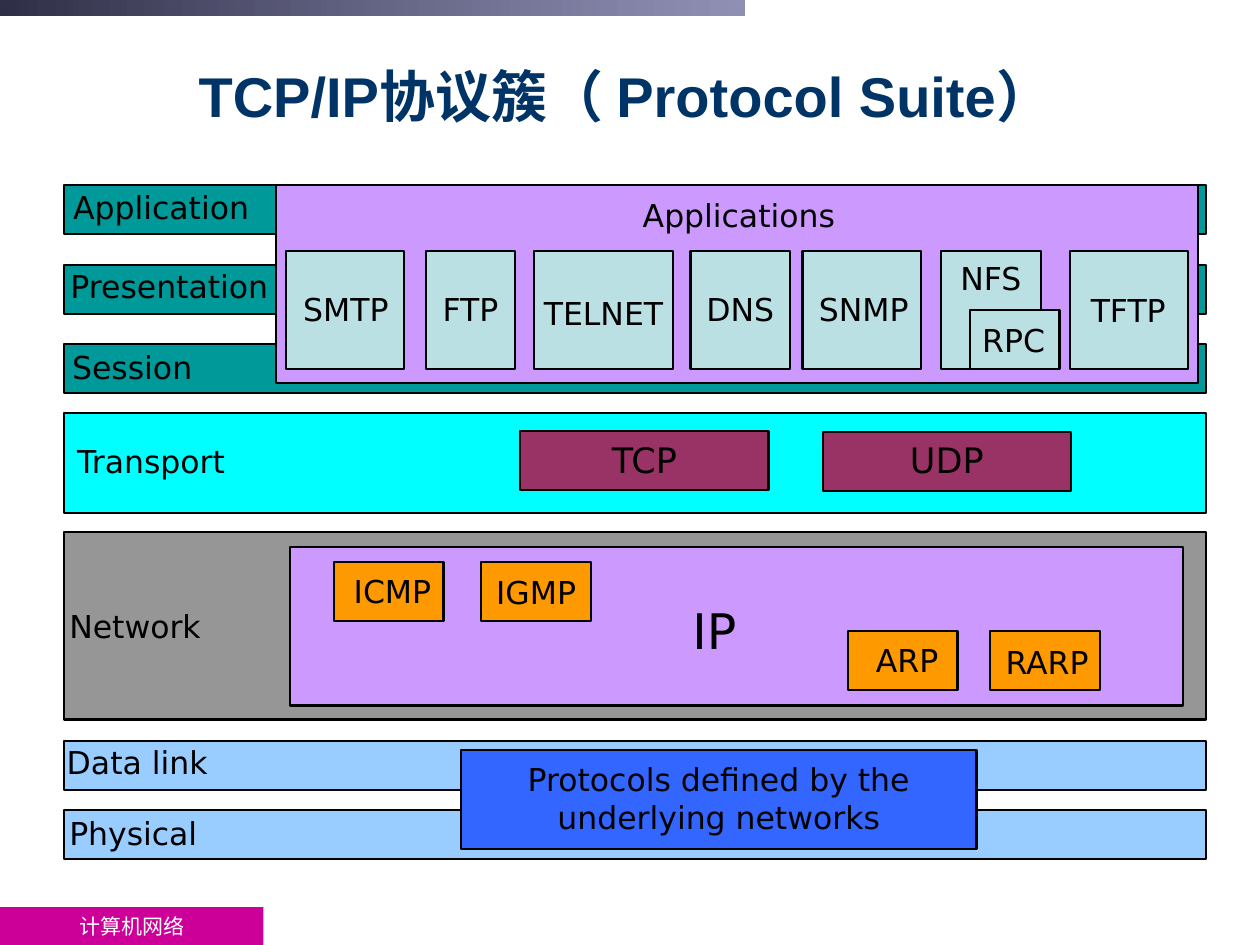
import pptx
import pptx.dml.color
import pptx.enum.shapes
import pptx.enum.text
import pptx.oxml.ns
import pptx.util
from lxml import etree

Inches = pptx.util.Inches
ALIGN = pptx.enum.text.PP_ALIGN
ANCHOR = pptx.enum.text.MSO_ANCHOR

THEME = {
    "body_font": "DejaVu Sans", "title_font": "Arial", "footer_font": "Times New Roman",
    "body": 18, "transport": 20, "ip": 28, "title": 32, "footer": 12,
    "ink": "000000", "title_ink": "003366", "white": "FFFFFF",
    "footer_fill": "CC0099", "bar_start": "2F2F47", "bar_end": "666699",
    "upper": "009999", "cyan": "00FFFF", "gray": "969696", "lower": "99CCFF",
    "violet": "CC99FF", "app": "BBE0E3", "plum": "993366", "orange": "FF9900",
    "blue": "3366FF",
}

TITLE = "TCP/IP协议簇（ Protocol Suite）"
FOOTER = "计算机网络"

# Layers: name, top, height, fill, label left, label top, label width, alignment
LAYER_LEFT, LAYER_WIDTH = 0.51, 9.06
LAYERS = [
    ("Application", 1.47, 0.39, "upper", 0.53, 1.49, 1.5, ALIGN.CENTER),
    ("Presentation", 2.1, 0.39, "upper", 0.53, 2.12, 1.63, ALIGN.CENTER),
    ("Session", 2.73, 0.39, "upper", 0.55, 2.76, 1, ALIGN.CENTER),
    ("Transport", 3.28, 0.79, "cyan", 0.55, 3.51, 1.3, ALIGN.CENTER),
    ("Network", 4.22, 1.49, "gray", 0.55, 4.82, 1.3, ALIGN.LEFT),
    ("Data link", 5.88, 0.39, "lower", 0.53, 5.9, 1.63, ALIGN.LEFT),
    ("Physical", 6.43, 0.39, "lower", 0.55, 6.46, 1.07, ALIGN.LEFT),
]

# Protocol groups: fill, type size, then boxes as
# name, box (left, top, width, height), label (left, top, width)
GROUPS = [
    ("plum", "transport", [
        ("TCP", (4.13, 3.42, 1.97, 0.47), (4.76, 3.48, 0.71)),
        ("UDP", (6.53, 3.43, 1.97, 0.47), (7.2, 3.48, 0.63)),
    ]),
    ("violet", "ip", [("IP", (2.3, 4.34, 7.09, 1.26), (5.16, 4.77, 1.02))]),
    ("orange", "body", [
        ("ICMP", (2.65, 4.46, 0.87, 0.47), (2.68, 4.54, 0.87)),
        ("IGMP", (3.82, 4.46, 0.87, 0.47), (3.86, 4.55, 0.79)),
        ("ARP", (6.73, 5.01, 0.87, 0.47), (6.73, 5.09, 0.94)),
        ("RARP", (7.86, 5.01, 0.87, 0.47), (7.84, 5.1, 0.94)),
    ]),
    ("blue", "body", [
        ("Protocols defined by the underlying networks",
         (3.66, 5.95, 4.09, 0.79), (4.13, 6.03, 3.15)),
    ]),
    ("violet", "body", [("Applications", (2.19, 1.47, 7.32, 1.57), (5, 1.56, 1.73))]),
    ("app", "body", [
        ("SMTP", (2.27, 1.99, 0.94, 0.94), (2.27, 2.3, 0.95)),
        ("FTP", (3.38, 1.99, 0.71, 0.94), (3.38, 2.3, 0.71)),
        ("TELNET", (4.24, 1.99, 1.1, 0.94), (4.24, 2.33, 1.1)),
        ("DNS", (5.48, 1.99, 0.79, 0.94), (5.56, 2.3, 0.63)),
        ("SNMP", (6.37, 1.99, 0.94, 0.94), (6.42, 2.3, 0.87)),
        ("NFS", (7.47, 1.99, 0.79, 0.94), (7.55, 2.06, 0.63)),
        ("RPC", (7.7, 2.46, 0.71, 0.47), (7.73, 2.55, 0.63)),
        ("TFTP", (8.49, 1.99, 0.94, 0.94), (8.6, 2.31, 0.71)),
    ]),
]


def rgb(name):
    return pptx.dml.color.RGBColor.from_string(THEME[name])


def add_box(s, place, fill=None, outlined=True):
    sp = s.shapes.add_shape(pptx.enum.shapes.MSO_SHAPE.RECTANGLE, *map(Inches, place))
    sp.shadow.inherit = False
    if fill:
        sp.fill.solid()
        sp.fill.fore_color.rgb = rgb(fill)
    if outlined:
        sp.line.color.rgb = rgb("ink")
        sp.line.width = pptx.util.Pt(1.25)
    else:
        sp.line.fill.background()
    return sp


def write(sp, text, size="body", font="body_font", color="ink", align=ALIGN.CENTER,
          anchor=ANCHOR.TOP, bold=False):
    tf = sp.text_frame
    tf.word_wrap = True
    tf.vertical_anchor = anchor
    p = tf.paragraphs[0]
    p.alignment = align
    r = p.add_run()
    r.text = text
    r.font.name = THEME[font]
    r.font.size = pptx.util.Pt(THEME[size])
    r.font.bold = bold
    r.font.color.rgb = rgb(color)


def add_label(s, text, left, top, width, size="body", align=ALIGN.CENTER, lines=1):
    height = THEME[size] / 60 * lines
    sp = s.shapes.add_textbox(*map(Inches, (left, top, width, height)))
    tf = sp.text_frame
    tf.margin_left = tf.margin_right = tf.margin_top = tf.margin_bottom = 0
    write(sp, text, size, align=align)


def add_frame(s):
    # Footer tag
    footer = add_box(s, (0, 7.2, 2.09, 0.3), "footer_fill", outlined=False)
    write(footer, FOOTER, "footer", "footer_font", "white", anchor=ANCHOR.MIDDLE)

    # Top bar, fading to a translucent end
    bar = add_box(s, (0, 0, 5.91, 0.12), outlined=False)
    bar.fill.gradient()
    bar.fill.gradient_angle = 0
    for stop, color in zip(bar.fill.gradient_stops, ("bar_start", "bar_end")):
        stop.color.rgb = rgb(color)
    qn = pptx.oxml.ns.qn
    end = list(bar.fill._xPr.iter(qn("a:srgbClr")))[1]
    etree.SubElement(end, qn("a:alpha")).set("val", "72000")

    # Title
    title = s.shapes.add_textbox(*map(Inches, (1.3, 0.46, 7.33, 0.59)))
    write(title, TITLE, "title", "title_font", "title_ink", anchor=ANCHOR.MIDDLE, bold=True)


def main():
    prs = pptx.Presentation()
    prs.slide_width, prs.slide_height = Inches(10), Inches(7.5)
    s = prs.slides.add_slide(prs.slide_layouts[6])
    add_frame(s)

    # Layer bands
    for name, top, height, fill, left, label_top, width, align in LAYERS:
        add_box(s, (LAYER_LEFT, top, LAYER_WIDTH, height), fill)
        add_label(s, name, left, label_top, width, align=align)

    # Protocol boxes
    for fill, size, boxes in GROUPS:
        for name, place, label in boxes:
            add_box(s, place, fill)
            add_label(s, name, *label, size=size, lines=2 if fill == "blue" else 1)

    prs.save("out.pptx")


if __name__ == "__main__":
    main()
